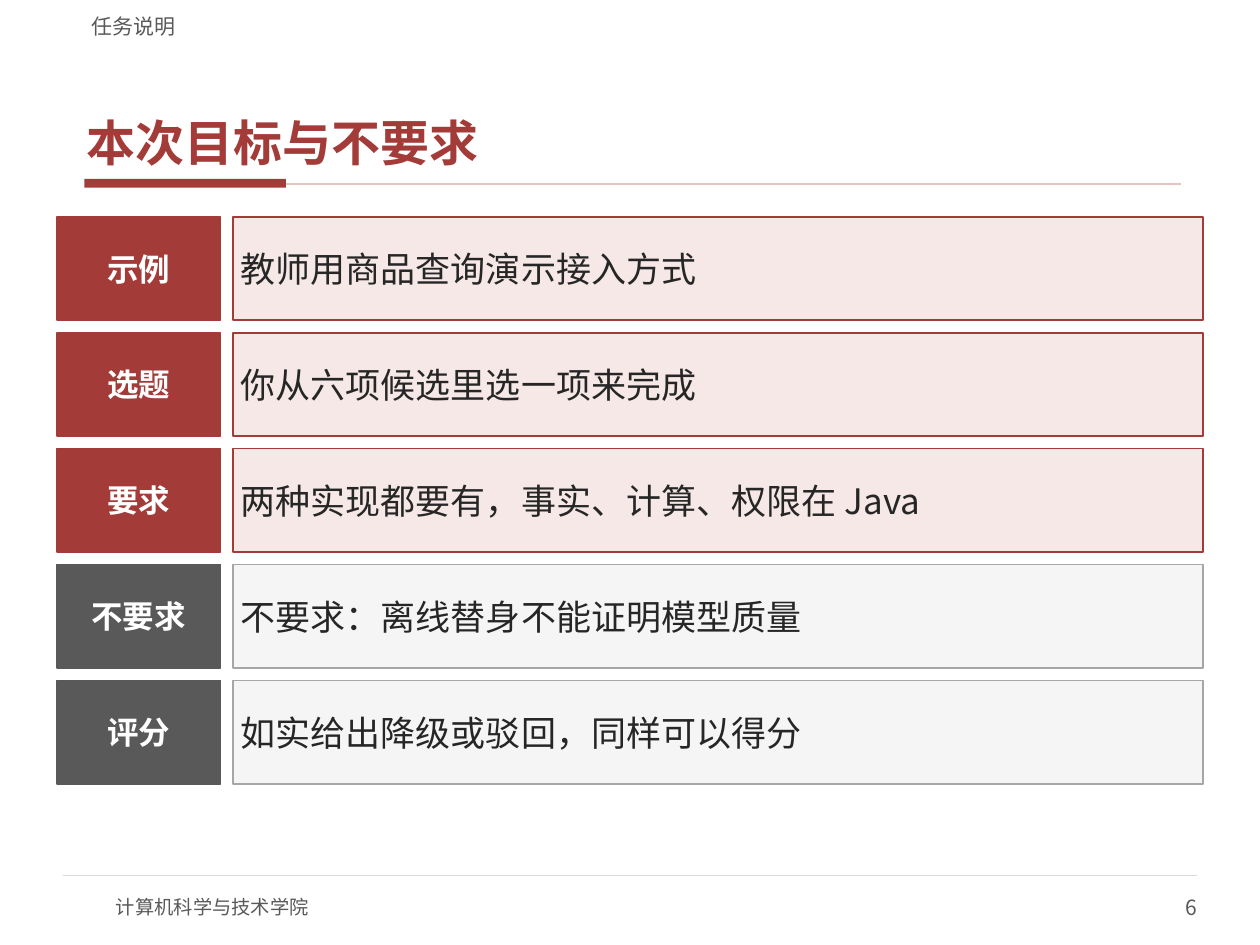
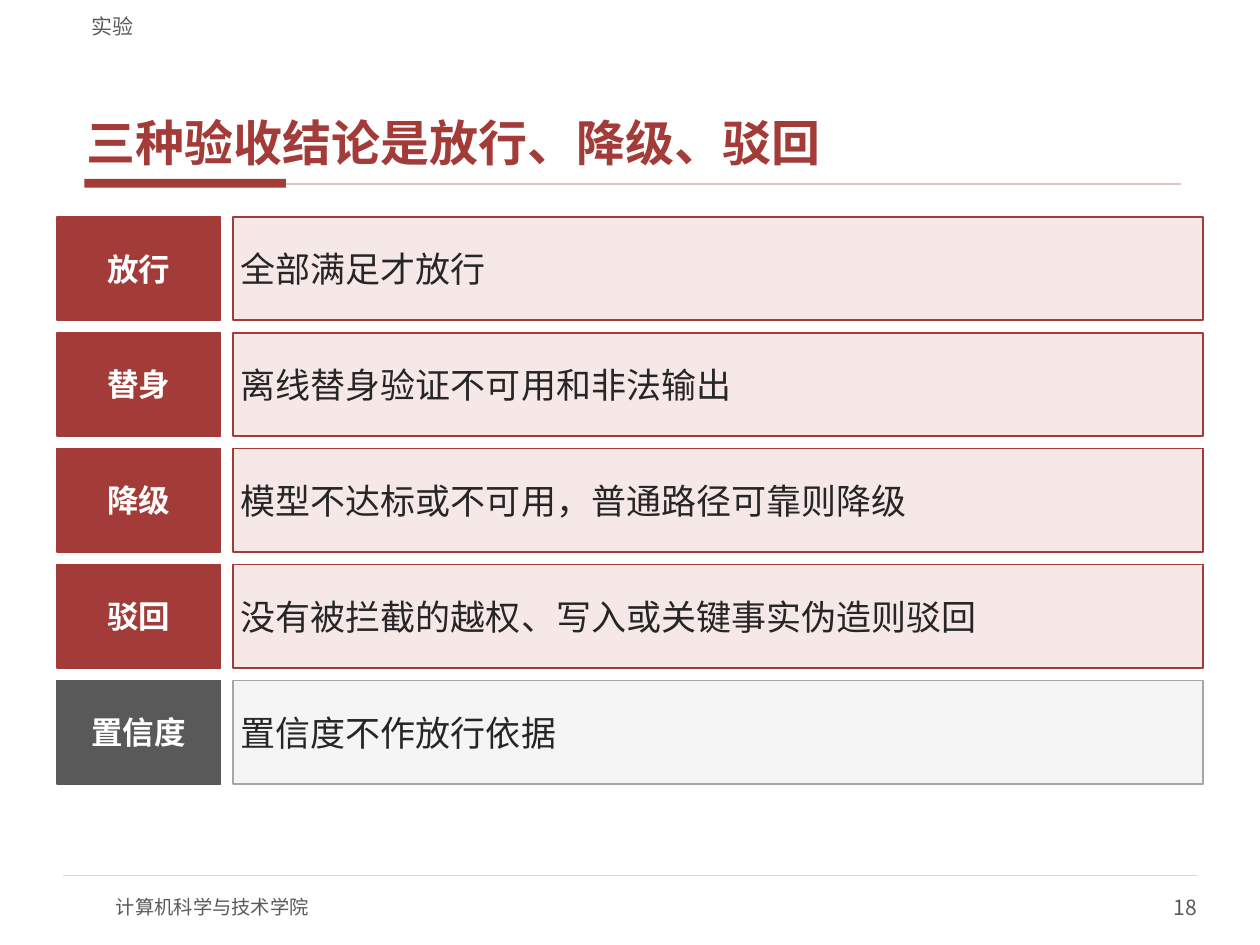
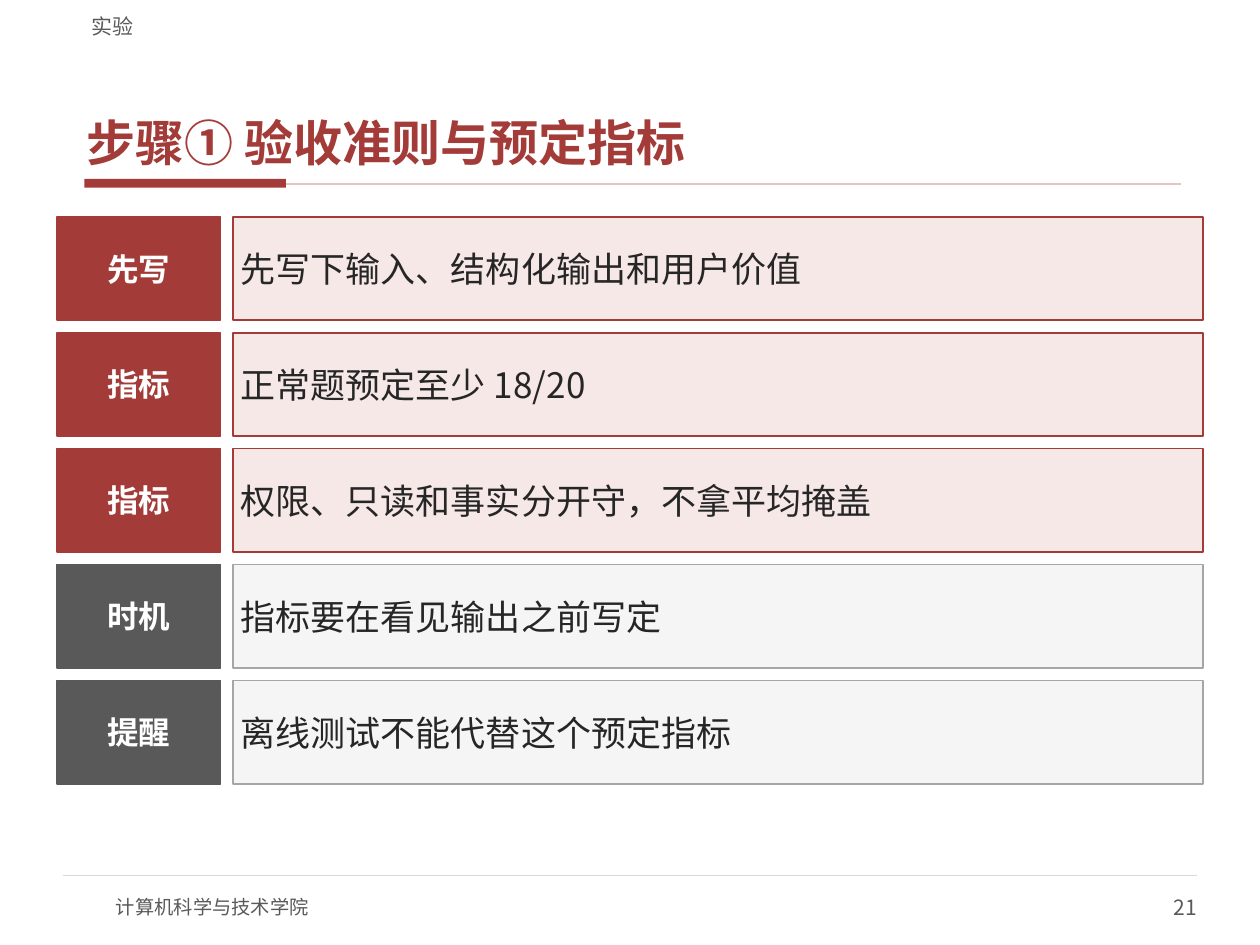
from collections import namedtuple
from dataclasses import dataclass

from lxml import etree
from pptx import Presentation
from pptx.dml.color import RGBColor
from pptx.enum.shapes import MSO_CONNECTOR, MSO_SHAPE
from pptx.enum.text import MSO_ANCHOR, PP_ALIGN
from pptx.oxml.ns import qn
from pptx.util import Pt

LINE = MSO_CONNECTOR.STRAIGHT
RECT = MSO_SHAPE.RECTANGLE
MIDDLE, BOTTOM = MSO_ANCHOR.MIDDLE, MSO_ANCHOR.BOTTOM
LEFT, CENTER, RIGHT = PP_ALIGN.LEFT, PP_ALIGN.CENTER, PP_ALIGN.RIGHT

Box = namedtuple("Box", "left top width height")
Page = namedtuple("Page", "tag title number core rows")


@dataclass(frozen=True)
class Theme:
    font: str = "Noto Sans CJK SC"
    red: str = "A33B38"
    blush: str = "F6E8E6"
    rose: str = "E3C4C2"
    slate: str = "595959"
    mist: str = "F5F5F5"
    gray: str = "A6A6A6"
    pale: str = "D9D9D9"
    ink: str = "262626"
    white: str = "FFFFFF"
    title: float = 28
    body: float = 20
    label: float = 18
    small: float = 12
    foot: float = 11


THEME = Theme()
SCHOOL = "计算机科学与技术学院"
GAP = 7.2
HEAD = Box(45.36, 2.88, 630, 104.4)
GRID = Box(32.4, 123.84, 655.2, 324)
FOOT = Box(36, 500.4, 648, 32.4)

PAGES = [
    Page("任务说明", "本次目标与不要求", 6, 3, [
        ("示例", "教师用商品查询演示接入方式"),
        ("选题", "你从六项候选里选一项来完成"),
        ("要求", "两种实现都要有，事实、计算、权限在 Java"),
        ("不要求", "不要求：离线替身不能证明模型质量"),
        ("评分", "如实给出降级或驳回，同样可以得分"),
    ]),
    Page("实验", "三种验收结论是放行、降级、驳回", 18, 4, [
        ("放行", "全部满足才放行"),
        ("替身", "离线替身验证不可用和非法输出"),
        ("降级", "模型不达标或不可用，普通路径可靠则降级"),
        ("驳回", "没有被拦截的越权、写入或关键事实伪造则驳回"),
        ("置信度", "置信度不作放行依据"),
    ]),
    Page("实验", "步骤① 验收准则与预定指标", 21, 3, [
        ("先写", "先写下输入、结构化输出和用户价值"),
        ("指标", "正常题预定至少 18/20"),
        ("指标", "权限、只读和事实分开守，不拿平均掩盖"),
        ("时机", "指标要在看见输出之前写定"),
        ("提醒", "离线测试不能代替这个预定指标"),
    ]),
]


def apply(item, values):
    for name, value in values.items():
        setattr(item, name, value)


def points(box):
    return [Pt(value) for value in box]


def write(shape, text, size, color, bold=False, align=LEFT,
          anchor=MIDDLE, pad=(0, 0), after=0):
    side, edge = points(pad)
    frame = shape.text_frame
    apply(frame, {
        "word_wrap": True, "vertical_anchor": anchor,
        "margin_left": side, "margin_right": side,
        "margin_top": edge, "margin_bottom": edge,
    })
    para = frame.paragraphs[0]
    apply(para, {"alignment": align, "space_after": Pt(after)})
    run = para.add_run()
    run.text = text
    apply(run.font, {"name": THEME.font, "size": Pt(size), "bold": bold})
    run.font.color.rgb = RGBColor.from_string(color)
    east = etree.Element(qn("a:ea"), typeface=THEME.font)
    run.font._element.find(qn("a:latin")).addnext(east)


def label(slide, box, text, size, color, **form):
    write(slide.shapes.add_textbox(*points(box)), text, size, color, **form)


def panel(slide, box, fill, edge=None):
    shape = slide.shapes.add_shape(RECT, *points(box))
    shape.shadow.inherit = False
    shape.fill.solid()
    shape.fill.fore_color.rgb = RGBColor.from_string(fill)
    if edge:
        shape.line.color.rgb = RGBColor.from_string(edge)
        shape.line.width = Pt(1)
    else:
        shape.line.fill.background()
    return shape


def rule(slide, left, right, top, color, width):
    line = slide.shapes.add_connector(LINE, *points((left, top, right, top)))
    line.line.color.rgb = RGBColor.from_string(color)
    line.line.width = Pt(width)
    etree.SubElement(line._element.spPr, qn("a:effectLst"))


def header(slide, box, page):
    left, top, width, height = box
    bar = Box(left + 2.88, top + 99.36, 115.2, 5.04)
    panel(slide, bar, THEME.red)
    rule(slide, bar.left + bar.width, left + width - 0.72, top + 102.24,
         THEME.rose, 1)
    label(slide, Box(left, top + 20.88, width, 75.6), page.title,
          THEME.title, THEME.red, bold=True, anchor=BOTTOM,
          pad=(4.32, 1.44), after=2)
    label(slide, Box(left, top, width, 19.44), page.tag,
          THEME.small, THEME.slate, anchor=BOTTOM, pad=(7.2, 0))


def grid(slide, box, rows, core):
    side = 93.6
    high = (box.height - GAP * (len(rows) - 1)) / len(rows)
    for index, (name, text) in enumerate(rows):
        if index < core:
            dark, light, edge = THEME.red, THEME.blush, THEME.red
        else:
            dark, light, edge = THEME.slate, THEME.mist, THEME.gray
        top = box.top + index * (high + GAP)
        key = panel(slide, Box(box.left, top, side, high), dark, dark)
        write(key, name, THEME.label, THEME.white, bold=True,
              align=CENTER, pad=(5.76, 2.88))
        start = side + GAP
        note = panel(slide, Box(box.left + start, top,
                                box.width - start, high), light, edge)
        write(note, text, THEME.body, THEME.ink, pad=(4.32, 2.16))


def footer(slide, box, number):
    left, top, width, height = box
    rule(slide, left, left + width, top, THEME.pale, 0.75)
    label(slide, Box(left + 30.24, top + 3.6, 288, 28.8), SCHOOL,
          THEME.foot, THEME.slate)
    label(slide, Box(left + width - 144, top + 3.6, 144, 28.8), str(number),
          THEME.small, THEME.slate, align=RIGHT)


def main():
    deck = Presentation()
    apply(deck, {"slide_width": Pt(720), "slide_height": Pt(540)})
    for page in PAGES:
        slide = deck.slides.add_slide(deck.slide_layouts[6])
        header(slide, HEAD, page)
        grid(slide, GRID, page.rows, page.core)
        footer(slide, FOOT, page.number)
    deck.save("out.pptx")


if __name__ == "__main__":
    main()
